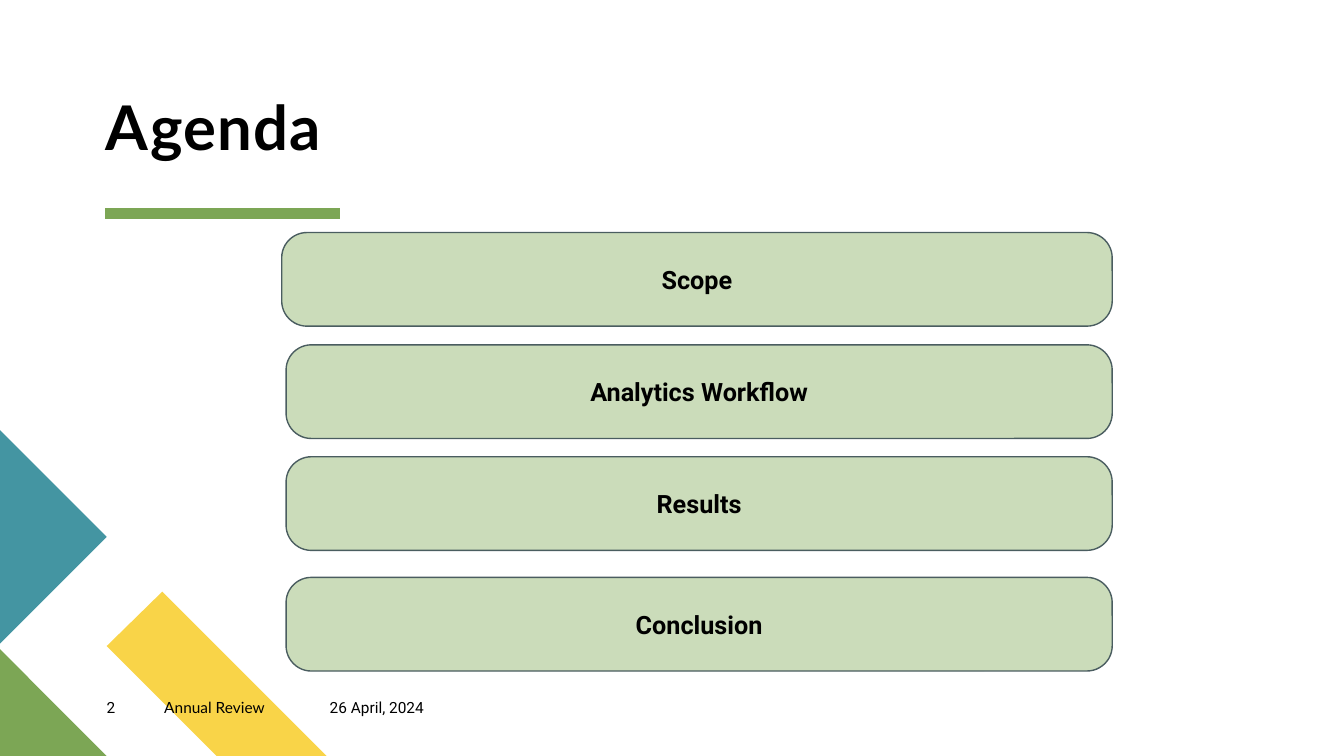
from pptx import Presentation
from pptx.dml.color import RGBColor
from pptx.enum.shapes import MSO_CONNECTOR as CONN, MSO_SHAPE as SHAPE
from pptx.enum.text import MSO_ANCHOR as ANCHOR, PP_ALIGN as ALIGN
from pptx.oxml.ns import qn
from pptx.util import Cm, Pt
from lxml.etree import SubElement


def rgb(value):
    return RGBColor.from_string(value)


class AgendaSlide:
    """Draws agenda elements on one slide, with all lengths in centimetres."""

    GREEN, TEAL, YELLOW = "7CA655", "4495A2", "F9D448"
    PALE, OUTLINE, INK = "CBDCBA", "4A5D60", "000000"
    HEAD, BODY = "Lato", "Roboto"

    def __init__(self, prs):
        self.s = prs.slides.add_slide(prs.slide_layouts[6])

    def polygon(self, points, color):
        pts = [(Cm(x), Cm(y)) for x, y in points]
        fb = self.s.shapes.build_freeform(*pts[0])
        fb.add_line_segments(pts[1:], close=True)
        sp = fb.convert_to_shape()
        sp.shadow.inherit = False
        sp.fill.solid()
        sp.fill.fore_color.rgb = rgb(color)
        sp.line.fill.background()

    def rule(self, x1, x2, y, width):
        ln = self.s.shapes.add_connector(CONN.STRAIGHT, Cm(x1), Cm(y), Cm(x2), Cm(y))
        ln.line.color.rgb = rgb(self.GREEN)
        ln.line.width = Pt(width)
        SubElement(ln._element.spPr, qn("a:effectLst"))

    def run(self, p, text, size, font, bold=False):
        r = p.add_run()
        r.text = text
        r.font.size = Pt(size)
        r.font.name = font
        r.font.bold = bold
        r.font.color.rgb = rgb(self.INK)
        return r

    def text_frame(self, x, y, w, h):
        tf = self.s.shapes.add_textbox(Cm(x), Cm(y), Cm(w), Cm(h)).text_frame
        tf.word_wrap = True
        tf.margin_left = tf.margin_right = tf.margin_top = tf.margin_bottom = 0
        return tf

    def title(self, text, x, y, w, h):
        tf = self.text_frame(x, y, w, h)
        tf.vertical_anchor = ANCHOR.BOTTOM
        p = tf.paragraphs[0]
        p.line_spacing = 0.9
        r = self.run(p, text, 44, self.HEAD, True)
        r._r.get_or_add_rPr().set("spc", "100")

    def footer(self, text, x, w, font):
        tf = self.text_frame(x, 17.58, w, 0.69)
        self.run(tf.paragraphs[0], text, 11, font)

    def item(self, text, x, y, w, h=2.36):
        sp = self.s.shapes.add_shape(SHAPE.ROUNDED_RECTANGLE, Cm(x), Cm(y), Cm(w), Cm(h))
        sp.adjustments[0] = 0.27
        sp.shadow.inherit = False
        sp.fill.solid()
        sp.fill.fore_color.rgb = rgb(self.PALE)
        sp.line.color.rgb = rgb(self.OUTLINE)
        sp.line.width = Pt(1)
        tf = sp.text_frame
        tf.word_wrap = True
        tf.vertical_anchor = ANCHOR.MIDDLE
        p = tf.paragraphs[0]
        p.alignment = ALIGN.CENTER
        self.run(p, text, 18, self.BODY, True)


def main():
    prs = Presentation()
    prs.slide_width, prs.slide_height = Cm(33.87), Cm(19.05)
    a = AgendaSlide(prs)

    a.polygon([(8.23, 19.05), (5.46, 19.05), (2.69, 16.28), (4.09, 14.91)], a.YELLOW)
    a.polygon([(2.69, 19.05), (0, 19.05), (0, 16.36)], a.GREEN)
    a.polygon([(0, 10.84), (2.69, 13.53), (0, 16.22)], a.TEAL)
    a.rule(2.65, 8.58, 5.39, 8)
    a.title("Agenda", 2.67, 2.44, 13.72, 1.7)

    for text, x, w, font in [("2", 2.69, 1.45, a.BODY),
                             ("Annual Review", 4.14, 4.17, a.HEAD),
                             ("26 April, 2024", 8.31, 3.66, a.BODY)]:
        a.footer(text, x, w, font)

    right = 28.03
    for text, x, y in [("Scope", 7.1, 5.86), ("Analytics Workflow", 7.21, 8.69),
                       ("Results", 7.21, 11.51), ("Conclusion", 7.21, 14.55)]:
        a.item(text, x, y, right - x)

    prs.save("out.pptx")


if __name__ == "__main__":
    main()
